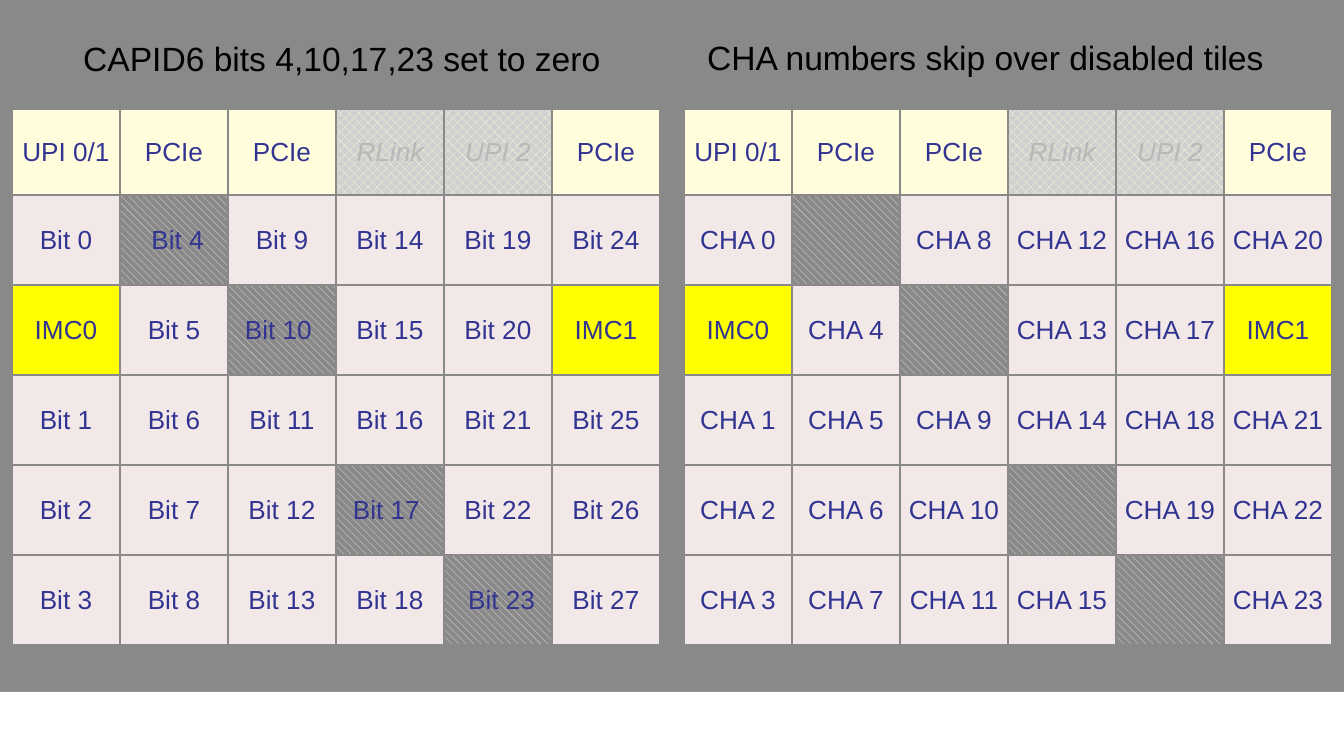
"""Build a slide of two tile grids: CAPID6 bits and the CHA numbers that skip disabled tiles."""
from dataclasses import dataclass
from itertools import count, product

from lxml import etree
from pptx import Presentation
from pptx.dml.color import RGBColor
from pptx.enum.dml import MSO_PATTERN
from pptx.enum.shapes import MSO_SHAPE
from pptx.enum.text import MSO_ANCHOR, MSO_AUTO_SIZE, PP_ALIGN
from pptx.oxml.ns import qn
from pptx.slide import Slide
from pptx.util import Emu, Pt

RECTANGLE = MSO_SHAPE.RECTANGLE
DOTTED = MSO_PATTERN.PERCENT_50
HATCHED = MSO_PATTERN.WIDE_DOWNWARD_DIAGONAL
MIDDLE = MSO_ANCHOR.MIDDLE
CENTER = PP_ALIGN.CENTER
FIT_SHAPE = MSO_AUTO_SIZE.SHAPE_TO_FIT_TEXT

GRAY = RGBColor(0x89, 0x89, 0x89)
WHITE = RGBColor(0xFF, 0xFF, 0xFF)
BLACK = RGBColor(0x00, 0x00, 0x00)
NAVY = RGBColor(0x32, 0x34, 0x92)
CREAM = RGBColor(0xFF, 0xFD, 0xDB)
PALE_GRAY = RGBColor(0xD0, 0xD0, 0xD0)
MUTED = RGBColor(0xB8, 0xB8, 0xB8)
ROSE = RGBColor(0xF3, 0xE8, 0xE8)
YELLOW = RGBColor(0xFF, 0xFF, 0x00)

FONT = "Arial"
EMU_PER_PX = 914400 / 134.4
SLIDE_WIDTH, SLIDE_HEIGHT = 1344, 756
FOOTER_TOP = 692
GRID_TOP, COLUMN_WIDTH, HEADER_HEIGHT, TILE_HEIGHT = 109, 108, 86, 90
ROWS, COLUMNS = 6, 6


@dataclass(frozen=True)
class Tile:
    """Text and look of one grid cell."""
    label: str
    fill: RGBColor = ROSE
    pattern: MSO_PATTERN | None = None
    ground: RGBColor = GRAY
    ink: RGBColor = NAVY
    italic: bool = False


@dataclass(frozen=True)
class Caption:
    """Heading above a grid."""
    text: str
    left: int
    top: int
    width: int
    height: int = 54


@dataclass(frozen=True)
class Grid:
    """One die map, numbered down its columns."""
    caption: Caption
    left: int
    prefix: str
    skips_disabled: bool


HEADERS = ["UPI 0/1", "PCIe", "PCIe", "RLink", "UPI 2", "PCIe"]
UNUSED_HEADERS = {"RLink", "UPI 2"}
MEMORY_CONTROLLERS = {(2, 0): "IMC0", (2, 5): "IMC1"}
DISABLED_LABELS = {(1, 1): " Bit 4", (2, 2): "Bit 10 ", (4, 3): "Bit 17 ", (5, 4): " Bit 23"}
GRIDS = [
    Grid(Caption("CAPID6 bits 4,10,17,23 set to zero", 70, 31, 550), 12, "Bit", False),
    Grid(Caption("CHA numbers skip over disabled tiles", 694, 30, 589), 684, "CHA", True),
]


def px(length: int) -> Emu:
    """Turn pixels into EMU."""
    return Emu(round(length * EMU_PER_PX))


def header_tile(label: str) -> Tile:
    """Describe a tile of the top row."""
    if label in UNUSED_HEADERS:
        return Tile(label, CREAM, DOTTED, PALE_GRAY, MUTED, True)
    return Tile(label, CREAM)


def grid_tiles(grid: Grid) -> dict[tuple[int, int], Tile]:
    """Lay out and number the tiles of a grid, column by column."""
    tiles = {(0, column): header_tile(label) for column, label in enumerate(HEADERS)}
    numbers = count()
    for column, row in product(range(COLUMNS), range(1, ROWS)):
        place = (row, column)
        if place in MEMORY_CONTROLLERS:
            tiles[place] = Tile(MEMORY_CONTROLLERS[place], YELLOW)
        elif place in DISABLED_LABELS:
            label = "" if grid.skips_disabled else DISABLED_LABELS[place]
            tiles[place] = Tile(label, pattern=HATCHED)
            if not grid.skips_disabled:
                next(numbers)
        else:
            tiles[place] = Tile(f"{grid.prefix} {next(numbers)}")
    return tiles


def draw_borders(cell) -> None:
    """Give a cell a thin gray line on every side."""
    properties = cell._tc.get_or_add_tcPr()
    for side in ("lnL", "lnR", "lnT", "lnB"):
        line = etree.SubElement(properties, qn(f"a:{side}"), w=str(Pt(1)))
        solid = etree.SubElement(line, qn("a:solidFill"))
        etree.SubElement(solid, qn("a:srgbClr"), val=str(GRAY))


def draw_tile(cell, tile: Tile) -> None:
    """Fill a cell and write its label."""
    draw_borders(cell)
    if tile.pattern is None:
        cell.fill.solid()
        cell.fill.fore_color.rgb = tile.fill
    else:
        cell.fill.patterned()
        cell.fill.pattern = tile.pattern
        cell.fill.fore_color.rgb = tile.fill
        cell.fill.back_color.rgb = tile.ground
    cell.vertical_anchor = MIDDLE
    cell.margin_left = cell.margin_right = cell.margin_top = px(1)
    cell.margin_bottom = px(0)
    paragraph = cell.text_frame.paragraphs[0]
    paragraph.text = tile.label
    paragraph.alignment = CENTER
    for run in paragraph.runs:
        run.font.name = FONT
        run.font.size = Pt(14)
        run.font.italic = tile.italic
        run.font.color.rgb = tile.ink


def draw_grid(slide: Slide, grid: Grid) -> None:
    """Add the table of a die map."""
    height = HEADER_HEIGHT + (ROWS - 1) * TILE_HEIGHT
    table = slide.shapes.add_table(ROWS, COLUMNS, px(grid.left), px(GRID_TOP),
                                   px(COLUMNS * COLUMN_WIDTH), px(height)).table
    table.first_row = table.horz_banding = False
    for column in table.columns:
        column.width = px(COLUMN_WIDTH)
    for index, row in enumerate(table.rows):
        row.height = px(TILE_HEIGHT if index else HEADER_HEIGHT)
    for (row, column), tile in grid_tiles(grid).items():
        draw_tile(table.cell(row, column), tile)


def draw_caption(slide: Slide, caption: Caption) -> None:
    """Add the heading of a grid."""
    frame = slide.shapes.add_textbox(px(caption.left), px(caption.top),
                                     px(caption.width), px(caption.height)).text_frame
    frame.word_wrap = False
    frame.auto_size = FIT_SHAPE
    frame.text = caption.text
    font = frame.paragraphs[0].runs[0].font
    font.name = FONT
    font.size = Pt(18)
    font.color.rgb = BLACK


def draw_footer(slide: Slide) -> None:
    """Add the white band along the bottom."""
    band = slide.shapes.add_shape(RECTANGLE, px(0), px(FOOTER_TOP),
                                  px(SLIDE_WIDTH), px(SLIDE_HEIGHT - FOOTER_TOP))
    band.shadow.inherit = False
    band.fill.solid()
    band.fill.fore_color.rgb = WHITE
    band.line.fill.background()


def main() -> None:
    """Build and save the slide."""
    presentation = Presentation()
    presentation.slide_width, presentation.slide_height = px(SLIDE_WIDTH), px(SLIDE_HEIGHT)
    slide = presentation.slides.add_slide(presentation.slide_layouts[6])
    slide.background.fill.solid()
    slide.background.fill.fore_color.rgb = GRAY
    draw_footer(slide)
    for grid in GRIDS:
        draw_grid(slide, grid)
        draw_caption(slide, grid.caption)
    presentation.save("out.pptx")


if __name__ == "__main__":
    main()
